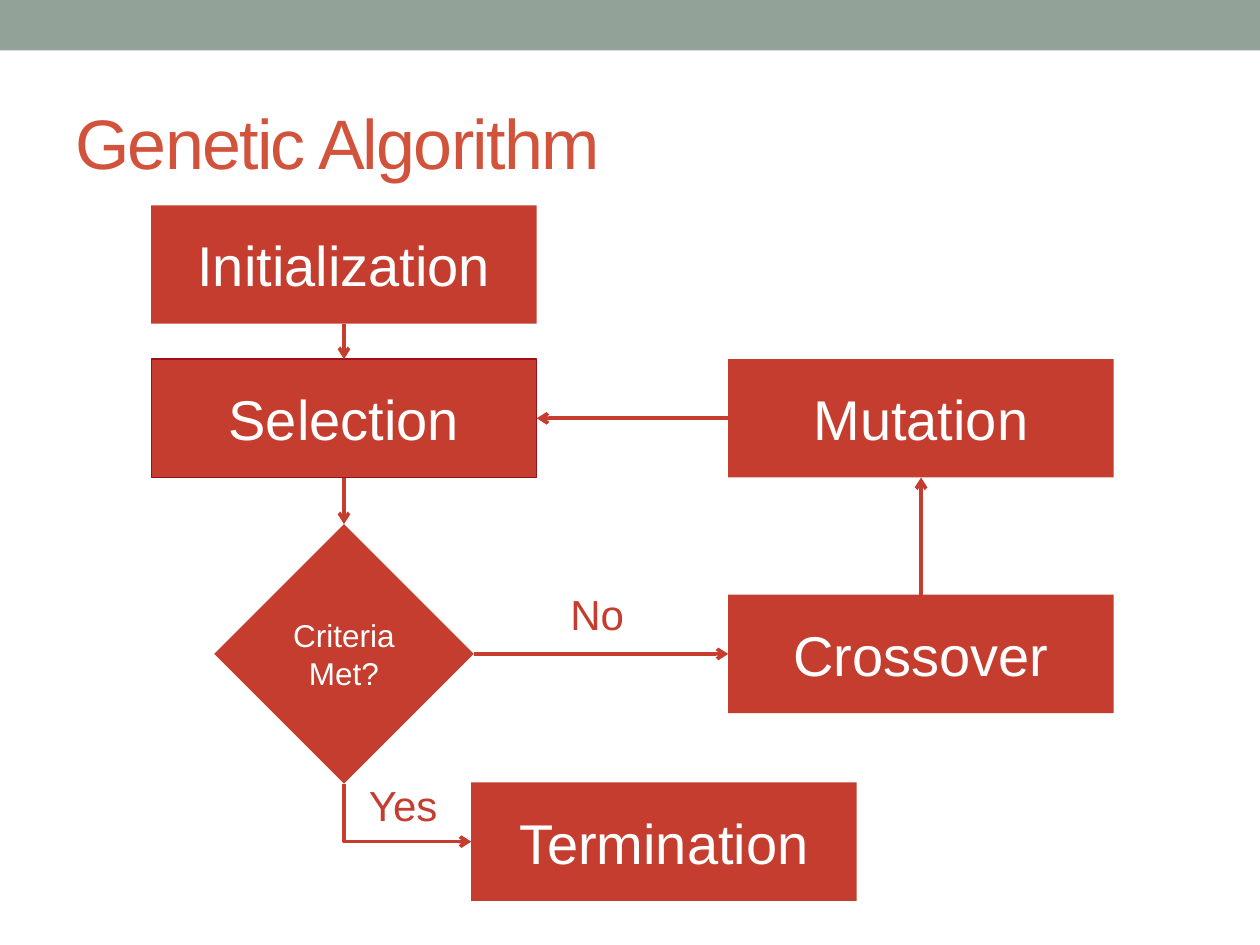
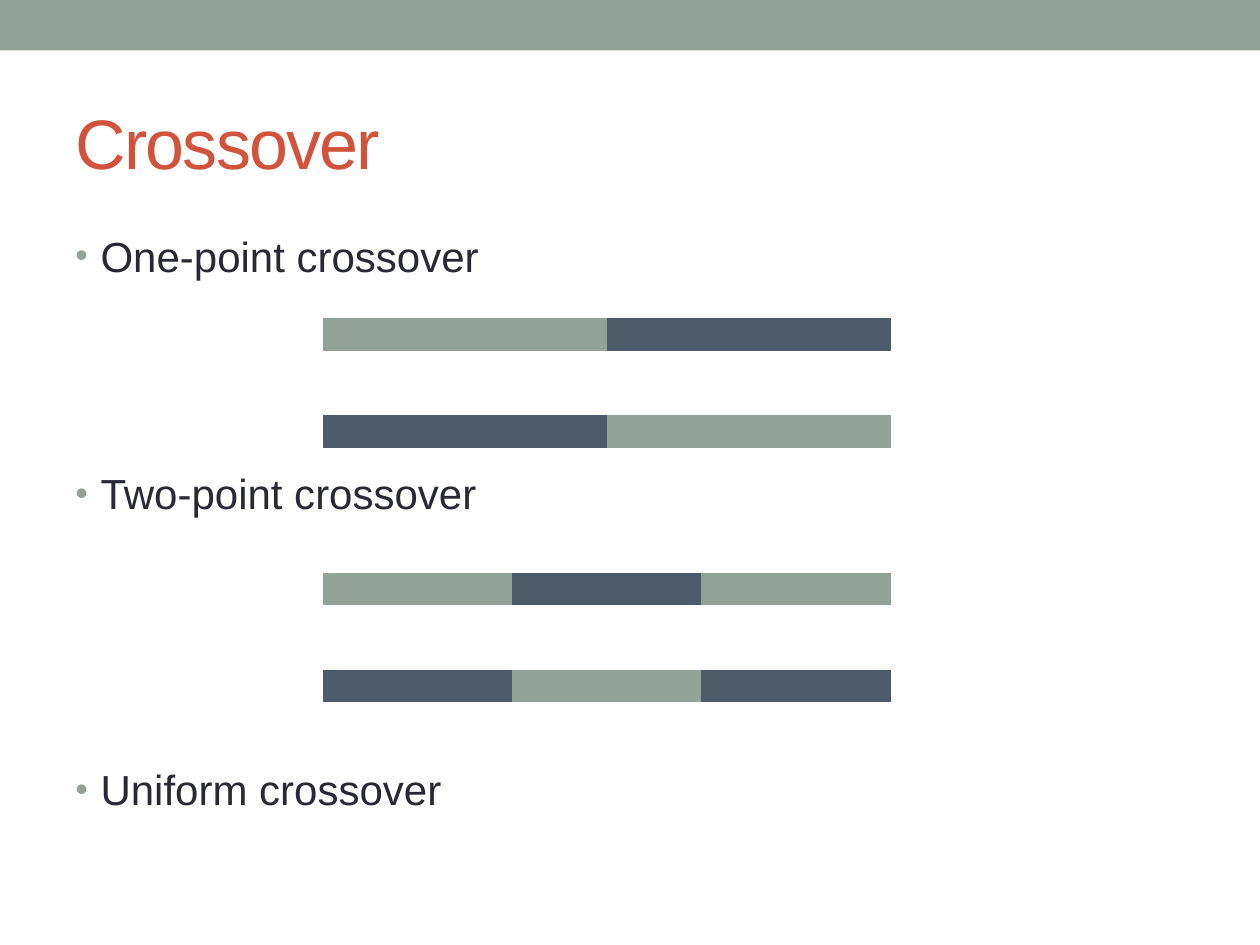
from lxml import etree
from pptx import Presentation
from pptx.dml.color import RGBColor
from pptx.enum.shapes import MSO_CONNECTOR, MSO_SHAPE
from pptx.enum.text import MSO_ANCHOR, PP_ALIGN
from pptx.oxml.ns import qn
from pptx.util import Inches, Pt

RECT, DIAMOND = MSO_SHAPE.RECTANGLE, MSO_SHAPE.DIAMOND
LINE, ELBOW = MSO_CONNECTOR.STRAIGHT, MSO_CONNECTOR.ELBOW
MIDDLE, CENTER = MSO_ANCHOR.MIDDLE, PP_ALIGN.CENTER

FONT = "Arial"
SAGE, SLATE, RED = "93A299", "4C5A6A", "C53D2E"
WINE, CORAL, INK, WHITE = "9F0E1C", "D2533C", "292934", "FFFFFF"

BOX_W, BOX_H = 3.06, 0.94
LEFT, RIGHT = 1.2, 5.78
MID_L, MID_R = LEFT + BOX_W / 2, RIGHT + BOX_W / 2
INIT_Y, SELECT_Y, CROSS_Y, END_Y = 1.63, 2.85, 4.72, 6.21
END_X = 3.74
DIAM, DIAM_Y = 2.06, 4.16

BAR_X, BAR_W, BAR_H, BAR_STEP = 2.57, 4.5, 0.25, 0.77


def color(code):
    return RGBColor.from_string(code)


def style(para, size, code):
    para.font.name = FONT
    para.font.size = Pt(size)
    para.font.color.rgb = color(code)


def add_box(slide, x, y, w, h, fill, edge=None, kind=RECT):
    box = slide.shapes.add_shape(kind, Inches(x), Inches(y), Inches(w), Inches(h))
    box.shadow.inherit = False
    box.fill.solid()
    box.fill.fore_color.rgb = color(fill)
    if edge:
        box.line.color.rgb = color(edge)
        box.line.width = Pt(0.75)
    else:
        box.line.fill.background()
    return box


def set_text(shape, text, size, code, align=None):
    frame = shape.text_frame
    frame.word_wrap = True
    frame.vertical_anchor = MIDDLE
    frame.text = text
    para = frame.paragraphs[0]
    para.alignment = align
    style(para, size, code)
    return para


def add_text(slide, x, y, w, h, text, size, code, align=None):
    area = slide.shapes.add_textbox(Inches(x), Inches(y), Inches(w), Inches(h))
    return set_text(area, text, size, code, align)


def add_step(slide, x, y, text, edge=None):
    box = add_box(slide, x, y, BOX_W, BOX_H, RED, edge)
    set_text(box, text, 32, WHITE, CENTER)


def add_arrow(slide, x1, y1, x2, y2, kind=LINE):
    link = slide.shapes.add_connector(
        kind, Inches(x1), Inches(y1), Inches(x2), Inches(y2))
    link.line.color.rgb = color(RED)
    link.line.width = Pt(2.08)
    etree.SubElement(link.line._get_or_add_ln(), qn("a:tailEnd")).set("type", "arrow")
    etree.SubElement(link._element.spPr, qn("a:effectLst"))
    return link


def add_bend(slide, x1, y1, x2, y2):
    """Arrow that runs down, then right: a one-bend link turned by 270 degrees."""
    mid_x, mid_y = (x1 + x2) / 2, (y1 + y2) / 2
    half_w, half_h = (y2 - y1) / 2, (x2 - x1) / 2
    link = add_arrow(slide, mid_x + half_w, mid_y - half_h,
                     mid_x - half_w, mid_y + half_h, ELBOW)
    props = link._element.spPr
    props.find(qn("a:xfrm")).set("rot", str(270 * 60000))
    props.find(qn("a:prstGeom")).set("prst", "bentConnector2")


def add_bullet(para):
    props = para._p.get_or_add_pPr()
    props.set("marL", str(Inches(0.2)))
    props.set("indent", str(-Inches(0.2)))
    tint = etree.SubElement(props, qn("a:buClr"))
    etree.SubElement(tint, qn("a:srgbClr")).set("val", SAGE)
    etree.SubElement(props, qn("a:buSzPct")).set("val", "85000")
    etree.SubElement(props, qn("a:buFont")).set("typeface", FONT)
    etree.SubElement(props, qn("a:buChar")).set("char", "•")


def add_list(slide, items):
    """Bulleted list from pairs of text and space before in points."""
    area = slide.shapes.add_textbox(Inches(0.5), Inches(1.78), Inches(9), Inches(5.3))
    frame = area.text_frame
    frame.word_wrap = True
    frame.text = "\n".join(text for text, gap in items)
    for para, (text, gap) in zip(frame.paragraphs, items):
        add_bullet(para)
        if gap:
            para.space_before = Pt(gap)
        style(para, 24, INK)


def add_bars(slide, y, count):
    """Two child strands of count parts each, with colours swapped."""
    part = BAR_W / count
    for row in range(2):
        for col in range(count):
            code = (SAGE, SLATE)[(row + col) % 2]
            add_box(slide, BAR_X + col * part, y + row * BAR_STEP,
                    part, BAR_H, code, code)


def new_slide(deck, title):
    slide = deck.slides.add_slide(deck.slide_layouts[6])
    add_box(slide, 0, 0, 10, 0.4, SAGE)
    para = add_text(slide, 0.5, 0.58, 9, 1.08, title, 40, CORAL)
    para.runs[0].font._element.set("spc", "-100")
    para.runs[0].font.size = Pt(40)
    return slide


def draw_flow(deck):
    slide = new_slide(deck, "Genetic Algorithm")
    add_step(slide, LEFT, INIT_Y, "Initialization")
    add_step(slide, LEFT, SELECT_Y, "Selection", WINE)
    add_step(slide, RIGHT, SELECT_Y, "Mutation")
    add_step(slide, RIGHT, CROSS_Y, "Crossover")
    add_step(slide, END_X, END_Y, "Termination")
    test = add_box(slide, MID_L - DIAM / 2, DIAM_Y, DIAM, DIAM, RED, kind=DIAMOND)
    set_text(test, "Criteria Met?", 18, WHITE, CENTER)

    select_mid = SELECT_Y + BOX_H / 2
    test_mid = DIAM_Y + DIAM / 2
    add_arrow(slide, MID_L, INIT_Y + BOX_H, MID_L, SELECT_Y)
    add_arrow(slide, MID_L, SELECT_Y + BOX_H, MID_L, DIAM_Y)
    add_arrow(slide, MID_L + DIAM / 2, test_mid, RIGHT, test_mid)
    add_arrow(slide, MID_R, CROSS_Y, MID_R, SELECT_Y + BOX_H)
    add_arrow(slide, RIGHT, select_mid, LEFT + BOX_W, select_mid)
    add_bend(slide, MID_L, DIAM_Y + DIAM, END_X, END_Y + BOX_H / 2)

    for x, y, text in ((4.26, 4.56, "No"), (2.72, 6.08, "Yes")):
        add_text(slide, x, y, 0.96, 0.62, text, 24, RED, CENTER)


def draw_cross(deck):
    slide = new_slide(deck, "Crossover")
    add_list(slide, (("One-point crossover", 0),
                     ("Two-point crossover", 106.7),
                     ("Uniform crossover", 140.4)))
    add_bars(slide, 2.53, 2)
    add_bars(slide, 4.55, 3)


def main():
    deck = Presentation()
    deck.slide_width, deck.slide_height = Inches(10), Inches(7.5)
    draw_flow(deck)
    draw_cross(deck)
    deck.save("out.pptx")


if __name__ == "__main__":
    main()
